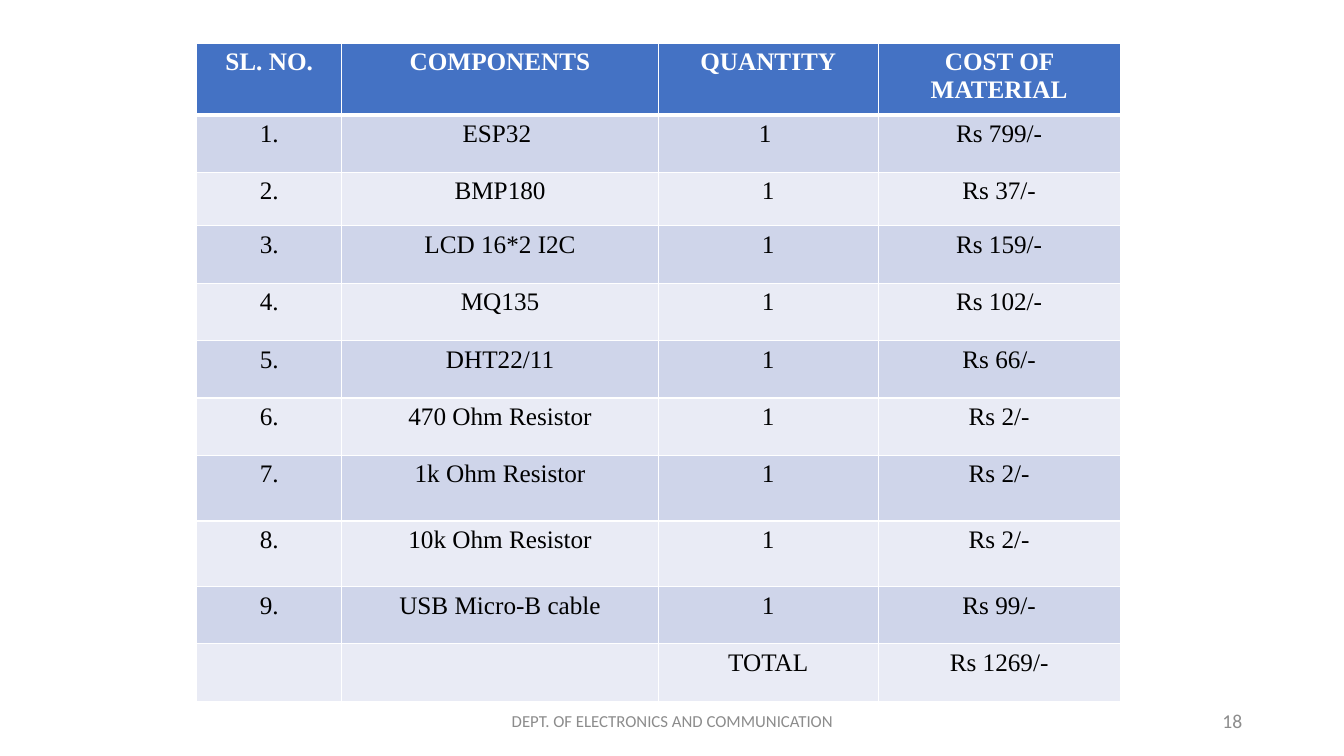
import pptx
import pptx.util
import pptx.dml.color
import pptx.enum.text
import pptx.oxml
import pptx.oxml.ns
from pptx.util import Inches

ALIGN = pptx.enum.text.PP_ALIGN
ANCHOR = pptx.enum.text.MSO_ANCHOR


def rgb(value):
    return pptx.dml.color.RGBColor.from_string(value)


class Deck:
    """Holds the style and the current slide."""

    SERIF, SANS = "Times New Roman", "Calibri"
    WHITE, BLACK, GREY = "FFFFFF", "000000", "8C8C8C"
    HEADER, BANDS = "4472C4", ("CFD5EA", "E9EBF5")

    def __init__(self):
        self.prs = pptx.Presentation()
        self.prs.slide_width = Inches(13.33)
        self.prs.slide_height = Inches(7.5)
        self.s = self.prs.slides.add_slide(self.prs.slide_layouts[6])

    def add_run(self, tf, text, size, font, color, align, bold=False):
        p = tf.paragraphs[0]
        p.alignment = align
        r = p.add_run()
        r.text = text
        r.font.size = pptx.util.Pt(size)
        r.font.name = font
        r.font.bold = bold
        r.font.color.rgb = rgb(color)

    def text(self, box, text, size, align):
        sp = self.s.shapes.add_textbox(*map(Inches, box))
        tf = sp.text_frame
        tf.word_wrap = True
        tf.vertical_anchor = ANCHOR.MIDDLE
        self.add_run(tf, text, size, self.SANS, self.GREY, align)

    def borders(self, cell, **widths):
        """Draws white cell edges; widths are points by side."""
        tc_pr = cell._tc.get_or_add_tcPr()
        for i, side in enumerate("LRTB"):
            width = pptx.util.Pt(widths.get(side, 1))
            tc_pr.insert(i, pptx.oxml.parse_xml(
                f'<a:ln{side} {pptx.oxml.ns.nsdecls("a")} w="{width}"><a:solidFill>'
                f'<a:srgbClr val="{self.WHITE}"/></a:solidFill></a:ln{side}>'))

    def table(self, left, top, widths, heights, rows):
        tbl = self.s.shapes.add_table(
            len(rows), len(widths), Inches(left), Inches(top),
            Inches(sum(widths)), Inches(sum(heights))).table
        for col, width in zip(tbl.columns, widths):
            col.width = Inches(width)
        for i, (row, height) in enumerate(zip(rows, heights)):
            tbl.rows[i].height = Inches(height)
            head = i == 0
            for j, text in enumerate(row):
                cell = tbl.cell(i, j)
                cell.fill.solid()
                cell.fill.fore_color.rgb = rgb(self.HEADER if head else self.BANDS[(i - 1) % 2])
                self.borders(cell, B=3 if head else 1, T=3 if i == 1 else 1)
                if text:
                    self.add_run(cell.text_frame, text, 18, self.SERIF,
                                 self.WHITE if head else self.BLACK, ALIGN.CENTER, head)


def main():
    deck = Deck()

    # Bill of materials
    parts = [
        ("ESP32 ", "1 ", 799),
        ("BMP180", "1", 37),
        ("LCD 16*2 I2C", "1", 159),
        ("MQ135", "1", 102),
        ("DHT22/11", "1", 66),
        ("470 Ohm Resistor", "1", 2),
        ("1k Ohm Resistor", "1", 2),
        ("10k Ohm Resistor", "1", 2),
        ("USB Micro-B cable", "1", 99),
    ]
    rows = [("SL. NO.", "COMPONENTS", "QUANTITY", "COST OF MATERIAL")]
    rows += [(f"{n}.", name, quantity, f"Rs {cost}/-")
             for n, (name, quantity, cost) in enumerate(parts, 1)]
    rows.append(("", "", "TOTAL", "Rs 1269/-"))
    heights = [0.71, 0.57, 0.53] + [0.57] * 4 + [0.65] * 2 + [0.57] * 2
    deck.table(1.95, 0.43, [1.44, 3.14, 2.18, 2.4], heights, rows)

    # Footer
    deck.text((9.42, 6.95, 3, 0.4), "18", 14, ALIGN.RIGHT)
    deck.text((4.42, 6.95, 4.5, 0.4), "DEPT. OF ELECTRONICS AND COMMUNICATION", 12, ALIGN.CENTER)

    deck.prs.save("out.pptx")


if __name__ == "__main__":
    main()
